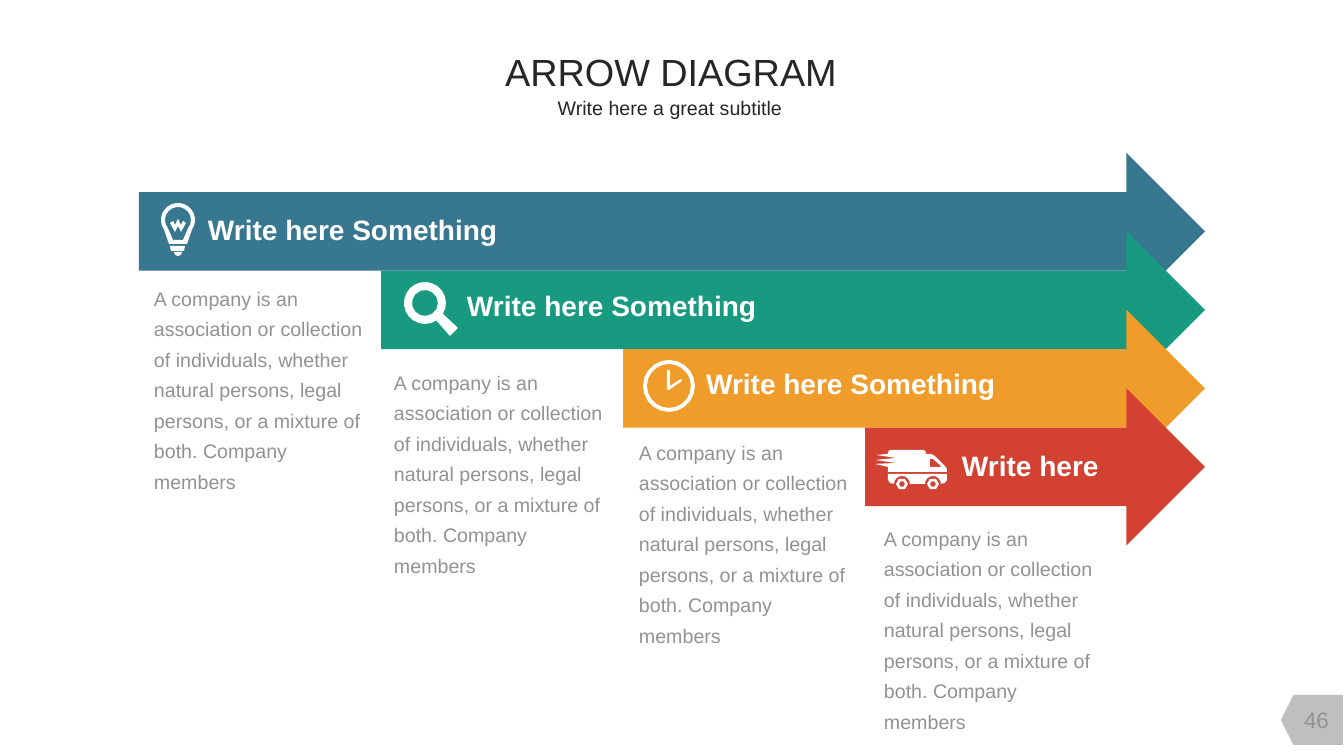
from math import cos, radians, sin

from pptx import Presentation
from pptx.dml.color import RGBColor
from pptx.enum.shapes import MSO_SHAPE
from pptx.enum.text import MSO_ANCHOR, PP_ALIGN
from pptx.util import Emu, Pt

RIGHT_ARROW = MSO_SHAPE.RIGHT_ARROW
PAGE_TAG = MSO_SHAPE.FLOWCHART_OFFPAGE_CONNECTOR
MIDDLE = MSO_ANCHOR.MIDDLE
LEFT, CENTER = PP_ALIGN.LEFT, PP_ALIGN.CENTER

PX = 914400 / 100.8
FONT = "Arial"
WHITE, GREY, DARK, TAG_GREY = "FFFFFF", "929292", "262626", "BFBFBF"

# Content: colour, label, label box, description position
DESCRIPTION = ("A company is an association or collection of individuals, whether "
               "natural persons, legal persons, or a mixture of both. Company members")
STEPS = [
    ("377790", "Write here Something", (195, 212, 471, 34), (141, 273)),
    ("189A80", "Write here Something", (454, 288, 471, 34), (381, 357)),
    ("F09C2A", "Write here Something", (693, 366, 423, 34), (626, 427)),
    ("D24132", "Write here", (949, 448, 212, 34), (871, 513)),
]
# Text, box, size
HEADINGS = [
    ("ARROW DIAGRAM", (490, 42, 362, 59), 27),
    ("Write here a great subtitle", (541, 89, 258, 37), 14),
]
PAGE_NUMBER = "46"

# Arrow grid
ARROW_LEFT, ARROW_TOP, ARROW_RIGHT = 139, 153, 1205
ARROW_HEIGHT, STEP_X = 157, 242
DESCRIPTION_SIZE = (245, 227)


def px(value):
    return Emu(round(value * PX))


def rgb(color):
    return RGBColor.from_string(color)


def arc(cx, cy, radius, start=0, end=360):
    count = max(6, min(20, radius))
    angles = [radians(start + (end - start) * i / count) for i in range(count + 1)]
    return [(cx + radius * cos(a), cy + radius * sin(a)) for a in angles]


def circle(cx, cy, radius):
    return arc(cx, cy, radius)[:-1]


# Icons as lists of closed outlines; inner outlines are holes
BULB = [
    arc(178, 220, 17, 145, 395) + [(187, 244), (169, 244)],
    arc(178, 220, 13, 140, 400) + [(183, 240), (173, 240)],
    [(170, 246), (185, 246), (184, 251), (171, 251)],
    arc(178, 252, 4, 0, 180),
    [(181, 225), (178, 219), (175, 225), (173, 221), (170, 223),
     (175, 232), (178, 226), (181, 232), (186, 223), (183, 221)],
]
MAGNIFIER = [
    arc(425, 303, 21, 57, 391) + [(458, 328), (450, 336)],
    circle(425, 303, 13),
]
CLOCK = [
    circle(669, 386, 26),
    circle(669, 386, 22),
    [(667, 370), (670, 370), (670, 386), (681, 379), (682, 381), (669, 390), (667, 390)],
]
WHEELS = [(902, 484), (933, 484)]
VAN = [
    [(947, 472), (947, 469), (945, 466), (935, 456), (931, 454), (926, 454),
     (926, 452), (924, 450), (890, 450), (888, 452), (888, 454), (876, 455),
     (896, 458), (875, 460), (896, 463), (875, 464), (888, 467), (888, 472)],
    [(941, 467), (930, 467), (930, 459), (933, 459), (941, 466)],
    [(888, 474), (947, 474), (947, 480), (945, 483)]
    + arc(*WHEELS[1], 8, 0, -180) + arc(*WHEELS[0], 8, 0, -180)
    + [(890, 483), (888, 480)],
] + [circle(*wheel, radius) for wheel in WHEELS for radius in (6, 3)]
ICONS = [BULB, MAGNIFIER, CLOCK, VAN]


def paint(sp, color):
    sp.shadow.inherit = False
    sp.fill.solid()
    sp.fill.fore_color.rgb = rgb(color)
    sp.line.fill.background()


def add_preset(kind, box, color):
    sp = slide.shapes.add_shape(kind, *map(px, box))
    paint(sp, color)
    return sp


def add_icon(outlines, color):
    points = [[(px(x), px(y)) for x, y in outline] for outline in outlines]
    builder = slide.shapes.build_freeform(*points[0][0])
    builder.add_line_segments(points[0][1:], close=True)
    for outline in points[1:]:
        builder.move_to(*outline[0])
        builder.add_line_segments(outline[1:], close=True)
    paint(builder.convert_to_shape(), color)


def add_text(text, box, size, color, align=LEFT, bold=False, spacing=None,
             inset=(13, 7), wrap=True):
    tf = slide.shapes.add_textbox(*map(px, box)).text_frame
    tf.word_wrap = wrap
    tf.vertical_anchor = MIDDLE
    tf.margin_left = tf.margin_right = px(inset[0])
    tf.margin_top = tf.margin_bottom = px(inset[1])
    tf.text = text
    p = tf.paragraphs[0]
    p.alignment = align
    if spacing:
        p.line_spacing = spacing
    font = p.runs[0].font
    font.name, font.size, font.bold = FONT, Pt(size), bold
    font.color.rgb = rgb(color)


prs = Presentation()
prs.slide_width, prs.slide_height = px(1344), px(756)
slide = prs.slides.add_slide(prs.slide_layouts[6])

# Page number tag
add_preset(PAGE_TAG, (1287, 689, 50, 62), TAG_GREY).rotation = 90
add_text(PAGE_NUMBER, (1289, 700, 55, 40), 16, GREY, CENTER, inset=(0, 0))

# Arrows, each overlapping the lower half of the one before
for i, (color, *_) in enumerate(STEPS):
    left = ARROW_LEFT + STEP_X * i
    top = ARROW_TOP + ARROW_HEIGHT / 2 * i
    add_preset(RIGHT_ARROW, (left, top, ARROW_RIGHT - left, ARROW_HEIGHT), color)

# Labels, descriptions and icons
for (_, label, label_box, position), icon in zip(STEPS, ICONS):
    add_text(label, label_box, 20, WHITE, bold=True, inset=(13, 0))
    add_text(DESCRIPTION, position + DESCRIPTION_SIZE, 14, GREY, spacing=1.3)
    add_icon(icon, WHITE)

# Title and subtitle
for text, box, size in HEADINGS:
    add_text(text, box, size, DARK, CENTER, wrap=False)

prs.save("out.pptx")
